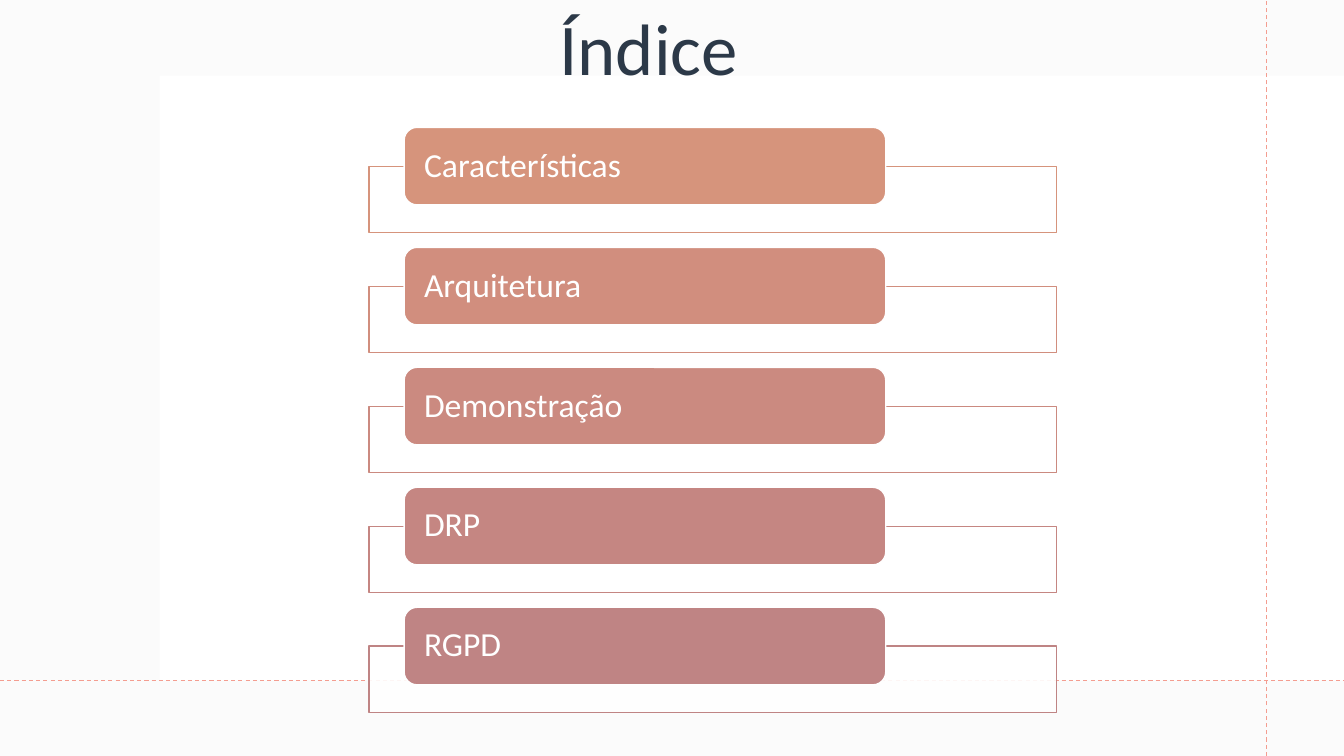
from pptx import Presentation
from pptx.dml.color import RGBColor
from pptx.enum.dml import MSO_LINE
from pptx.enum.shapes import MSO_SHAPE as Form, MSO_CONNECTOR as Link
from pptx.enum.text import MSO_ANCHOR as Anchor, MSO_AUTO_SIZE as Auto, PP_ALIGN as Align
from pptx.oxml.ns import qn
from pptx.util import Pt
from lxml.etree import SubElement

TITLE = "Índice"
TOPICS = [
    ("Características", "D6947C"),
    ("Arquitetura", "D18E7E"),
    ("Demonstração", "CB8A80"),
    ("DRP", "C58682"),
    ("RGPD", "BF8484"),
]
THEME = {"font": "Calibri", "head": 52, "item": 24, "ink": "2C3948",
         "white": "FFFFFF", "wash": "F4F4F4", "guide": "F49D90"}
WIDE, HIGH = 960, 540
PANEL = (114, 54, 846, 432)
GUIDES = [(905, HIGH, 905, 0), (0, 486, WIDE, 486)]
FRAME = (263.5, 118.8, 491, 47.5)
CARD = (288.7, 91, 344, 55.4)
PITCH = 85.7

deck = Presentation()
deck.slide_width, deck.slide_height = Pt(WIDE), Pt(HIGH)
slide = deck.slides.add_slide(deck.slide_layouts[5])
shapes = slide.shapes


def paint(fill, color, alpha=100):
    fill.solid()
    fill.fore_color.rgb = RGBColor.from_string(color)
    if alpha < 100:
        tint = next(fill.fore_color._xFill.iter(qn("a:srgbClr")))
        SubElement(tint, qn("a:alpha"), val=str(alpha * 1000))


def block(form, area, color, alpha=100, edge=None):
    box = shapes.add_shape(form, *map(Pt, area))
    box.shadow.inherit = False
    paint(box.fill, color, alpha)
    if edge:
        paint(box.line.fill, edge)
        box.line.width = Pt(1)
    else:
        box.line.fill.background()
    return box


def write(box, text, size, color, align, inset):
    frame = box.text_frame
    frame.text = text
    sides = {"margin_left": Pt(inset), "margin_right": Pt(inset),
             "margin_top": 0, "margin_bottom": 0, "word_wrap": True,
             "auto_size": Auto.NONE, "vertical_anchor": Anchor.MIDDLE}
    for name, value in sides.items():
        setattr(frame, name, value)
    para = frame.paragraphs[0]
    para.alignment, para.line_spacing = align, 0.9
    font = para.runs[0].font
    font.name, font.size = THEME["font"], Pt(size)
    font.color.rgb = RGBColor.from_string(color)


def guide(ends):
    line = shapes.add_connector(Link.STRAIGHT, *map(Pt, ends))
    paint(line.line.fill, THEME["guide"])
    line.line.width, line.line.dash_style = Pt(0.75), MSO_LINE.DASH
    SubElement(line._element.spPr, qn("a:effectLst"))


def drop(area, step):
    left, top, width, height = area
    return left, top + step * PITCH, width, height


block(Form.RECTANGLE, (0, 0, WIDE, HIGH), THEME["wash"], 35)
block(Form.RECTANGLE, PANEL, THEME["white"])

title = shapes.title
place = {"left": 287.3, "top": 4.3, "width": 352, "height": 66.2}
for name, value in place.items():
    setattr(title, name, Pt(value))
write(title, TITLE, THEME["head"], THEME["ink"], Align.CENTER, 7.2)
shapes._spTree.append(title._element)

for ends in GUIDES:
    guide(ends)

for step, (topic, color) in enumerate(TOPICS):
    block(Form.RECTANGLE, drop(FRAME, step), THEME["white"], 90, color)
    card = block(Form.ROUNDED_RECTANGLE, drop(CARD, step), color, edge=THEME["white"])
    write(card, topic, THEME["item"], THEME["white"], Align.LEFT, 11.5)

deck.save("out.pptx")
